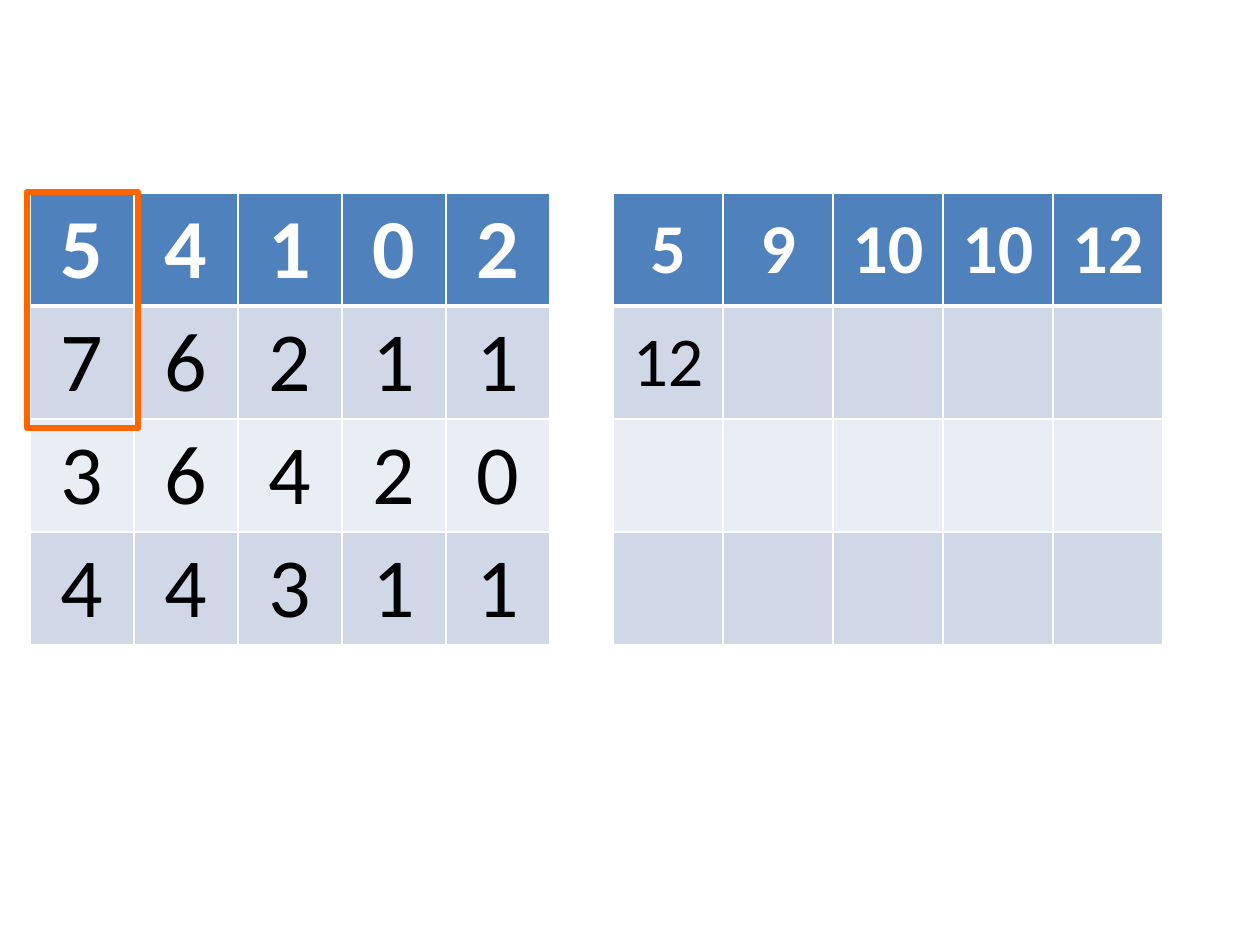
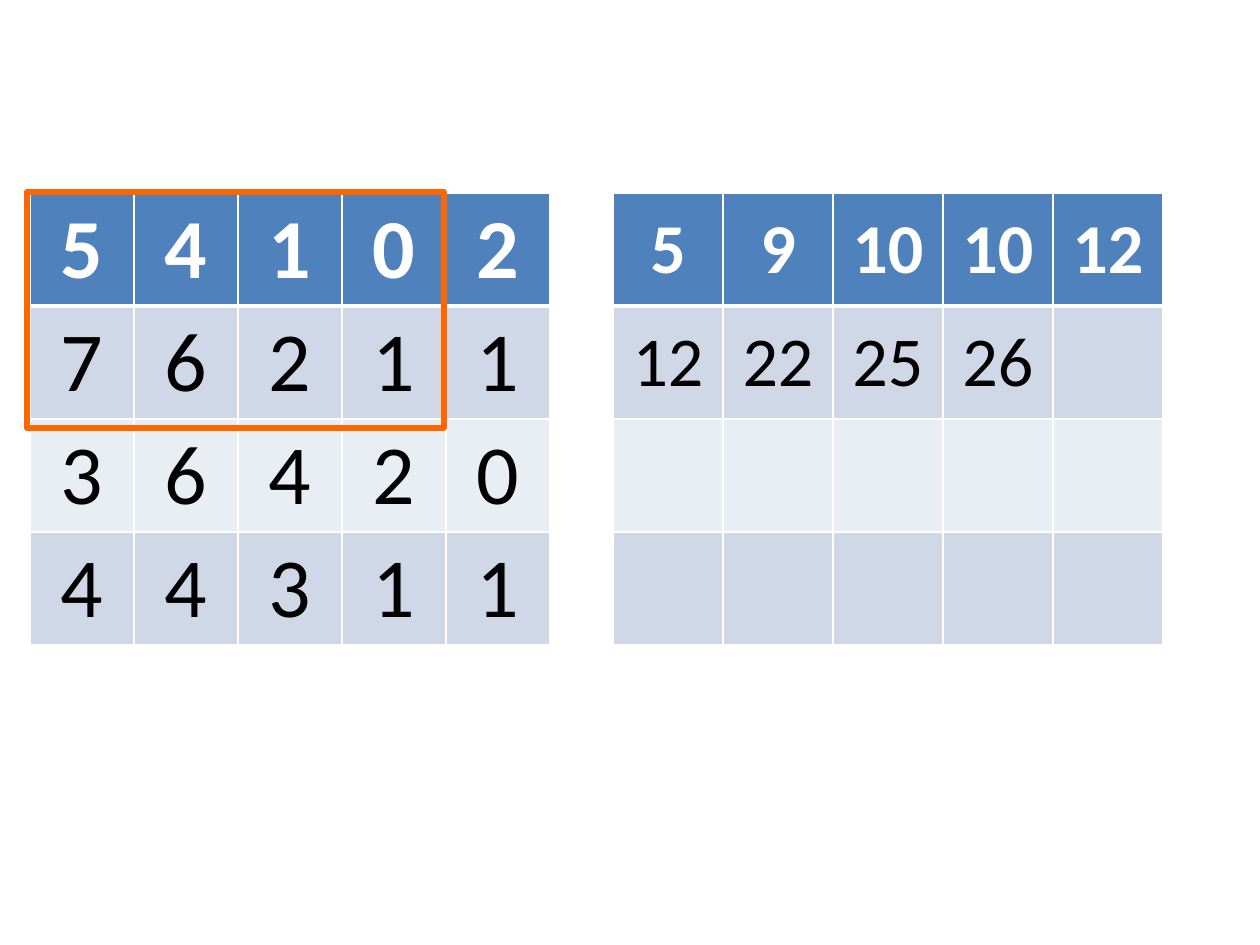
from dataclasses import dataclass
from lxml.etree import SubElement as Sub
from pptx import Presentation
from pptx.dml.color import RGBColor as Rgb
from pptx.enum.shapes import MSO_SHAPE as Shape
from pptx.enum.text import MSO_ANCHOR as Anchor, PP_ALIGN as Align
from pptx.oxml import parse_xml
from pptx.oxml.ns import nsdecls, qn
from pptx.util import Pt


@dataclass(frozen=True)
class Theme:
    font: str = "Calibri"
    head: str = "4F81BD"
    bands: tuple = ("D0D8E8", "E9EDF4")
    light: str = "FFFFFF"
    dark: str = "000000"
    mark: str = "FF6600"
    large: int = 48
    small: int = 40
    thin: float = 1
    thick: float = 3
    frame: float = 3.5


SCALE = 914400 / 126
TOP, ROW = 193, 113
GRID = [
    [5, 4, 1, 0, 2],
    [7, 6, 2, 1, 1],
    [3, 6, 4, 2, 0],
    [4, 4, 3, 1, 1],
]
FIRST = [5, 9, 10, 10, 12]
SECOND = [12, 22, 25, 26]


def px(count):
    return round(count * SCALE)


def write(frame, text, *, font, size, color, bold=False, align=Align.CENTER):
    para = frame.paragraphs[0]
    para.alignment = align
    run = para.add_run()
    run.text = str(text)
    run.font.name = font
    run.font.size = Pt(size)
    run.font.bold = bold
    run.font.color.rgb = Rgb.from_string(color)


def edge(cell, color, widths):
    """Draw the left, right, top and bottom borders, widths in points."""
    props = cell._tc.get_or_add_tcPr()
    for spot, (side, width) in enumerate(zip("LRTB", widths)):
        line = parse_xml(f'<a:ln{side} {nsdecls("a")} w="{Pt(width)}"/>')
        fill = Sub(line, qn("a:solidFill"))
        Sub(fill, qn("a:srgbClr"), val=color)
        props.insert(spot, line)


class Deck:
    def __init__(self, theme):
        self.theme = theme
        self.show = Presentation()
        self.show.slide_width = px(1260)
        self.show.slide_height = px(945)
        self.slide = None

    def page(self):
        self.slide = self.show.slides.add_slide(self.show.slide_layouts[6])

    def table(self, left, width, rows, size):
        """Add a banded table; short rows end in empty cells."""
        count = len(rows[0])
        table = self.slide.shapes.add_table(
            len(rows), count, px(left), px(TOP),
            px(width * count), px(ROW * len(rows))).table
        for col in table.columns:
            col.width = px(width)
        for y, values in enumerate(rows):
            table.rows[y].height = px(ROW)
            for x in range(count):
                text = values[x] if x < len(values) else None
                self.cell(table.cell(y, x), y, text, size)

    def cell(self, cell, row, text, size):
        look = self.theme
        head = row == 0
        cell.vertical_anchor = Anchor.MIDDLE
        cell.margin_top = cell.margin_bottom = px(5)
        cell.fill.solid()
        shade = look.head if head else look.bands[(row - 1) % 2]
        cell.fill.fore_color.rgb = Rgb.from_string(shade)
        above = look.thick if row == 1 else look.thin
        below = look.thick if head else look.thin
        edge(cell, look.light, (look.thin, look.thin, above, below))
        if text is not None:
            write(cell.text_frame, text, font=look.font, size=size,
                  color=look.light if head else look.dark, bold=head)

    def frame(self, left, top, width, height):
        box = self.slide.shapes.add_shape(
            Shape.RECTANGLE, px(left), px(top), px(width), px(height))
        box.shadow.inherit = False
        box.fill.background()
        box.line.color.rgb = Rgb.from_string(self.theme.mark)
        box.line.width = Pt(self.theme.frame)
        Sub(box.line._get_or_add_ln(), qn("a:round"))


def main():
    theme = Theme()
    deck = Deck(theme)
    for done, width in ((1, 111), (4, 417)):
        deck.page()
        deck.table(30, 104, GRID, theme.large)
        deck.table(613, 110, [FIRST, SECOND[:done], [], []], theme.small)
        deck.frame(27, 192, width, 236)
    deck.show.save("out.pptx")


if __name__ == "__main__":
    main()
